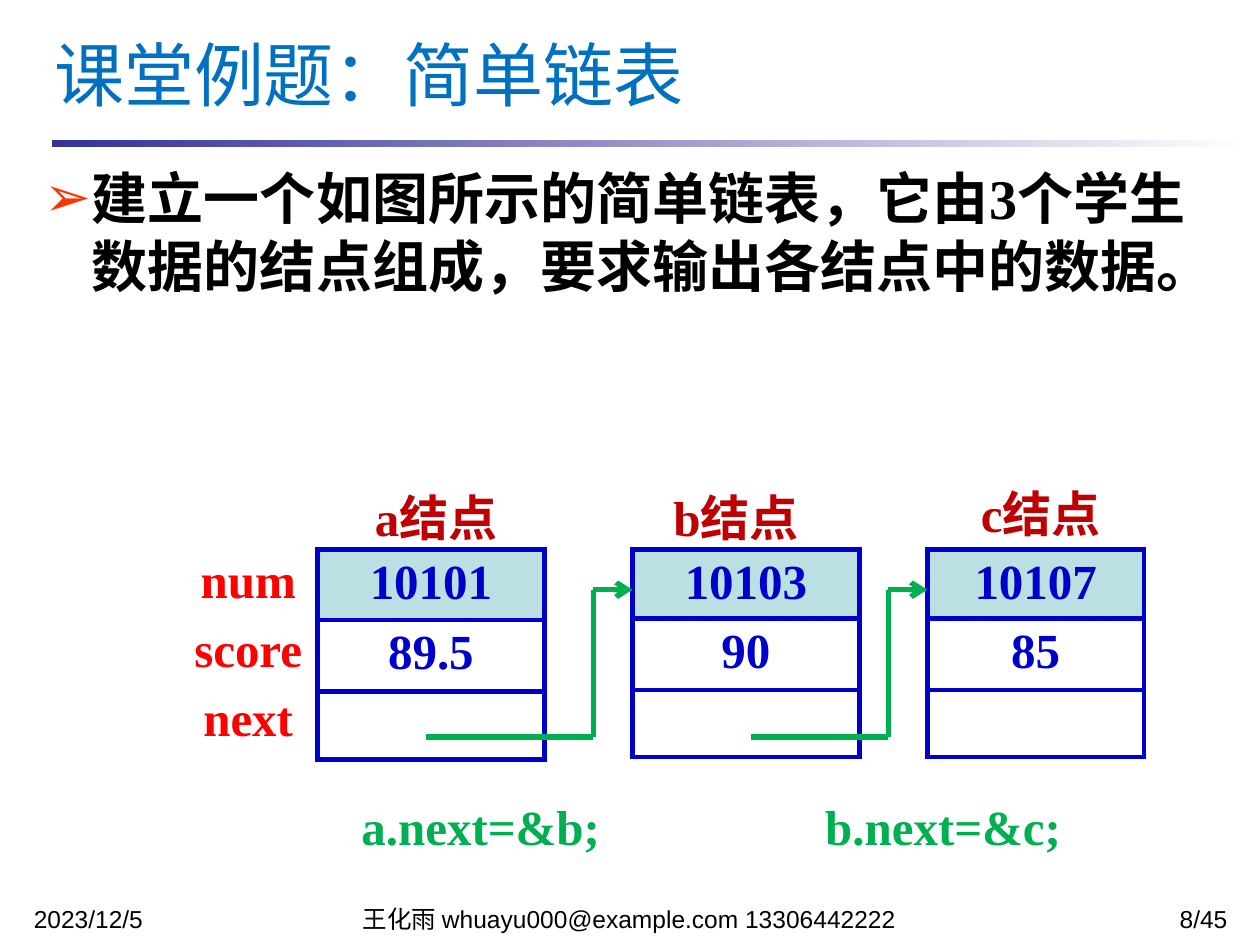
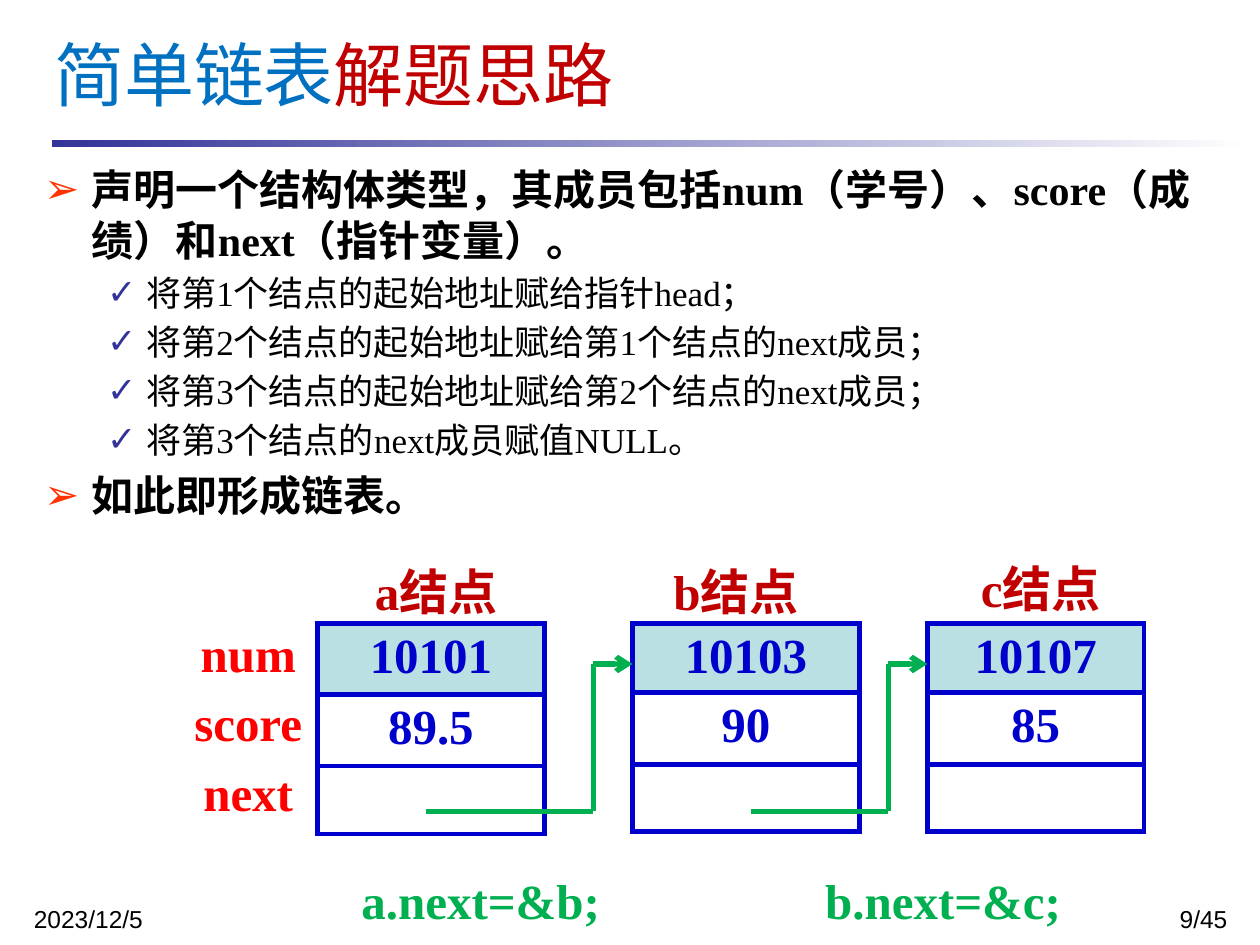
from lxml.etree import SubElement
from pptx import Presentation
from pptx.dml.color import RGBColor
from pptx.enum.shapes import MSO_CONNECTOR as Connector, MSO_SHAPE as Shape
from pptx.enum.text import MSO_ANCHOR as Anchor, MSO_AUTO_SIZE as AutoSize, PP_ALIGN as Align
from pptx.oxml.ns import qn
from pptx.util import Inches, Pt

WIDTH, HEIGHT = 10, 7.5
SERIF, SANS = "Times New Roman", "Arial"
BLACK, WHITE, NAVY, ORANGE = "000000", "FFFFFF", "333399", "FF3300"
TITLE_BLUE, DARK_RED, RED = "0070C0", "C00000", "FF0000"
NODE_BLUE, NODE_FILL, GREEN = "0000CC", "BBE0E3", "00B050"

DATE = "2023/12/5"
AUTHOR = "王化雨 whuayu000@example.com 13306442222"
PAGES = 45

SLIDES = [
    {
        "title": [("课堂例题：简单链表", TITLE_BLUE)],
        "body": [(0, "建立一个如图所示的简单链表，它由3个学生数据的结点组成，要求输出各结点中的数据。")],
        "sizes": (32, 28), "body_height": 1.5,
        "number": 8, "footer": AUTHOR, "diagram_top": 4.36,
    },
    {
        "title": [("简单链表", TITLE_BLUE), ("解题思路", DARK_RED)],
        "body": [
            (0, "声明一个结构体类型，其成员包括num（学号）、score（成绩）和next（指针变量）。"),
            (1, "将第1个结点的起始地址赋给指针head；"),
            (1, "将第2个结点的起始地址赋给第1个结点的next成员；"),
            (1, "将第3个结点的起始地址赋给第2个结点的next成员；"),
            (1, "将第3个结点的next成员赋值NULL。"),
            (0, "如此即形成链表。"),
        ],
        "sizes": (24, 20), "body_height": 2.92,
        "number": 9, "footer": None, "diagram_top": 4.95,
    },
]

BULLETS = [("➢", ORANGE, 0.38, 0.38), ("✓", NAVY, 0.81, 0.31)]

NODES = [
    {"name": "a结点", "left": 2.52, "width": 1.8, "rows": (0.56, 0.57, 0.54),
     "values": ("10101", "89.5", ""), "label": (2.6, -0.54, 1.72)},
    {"name": "b结点", "left": 5.02, "width": 1.8, "rows": (0.53, 0.57, 0.53),
     "values": ("10103", "90", ""), "label": (5.02, -0.54, 1.64)},
    {"name": "c结点", "left": 7.36, "width": 1.72, "rows": (0.53, 0.57, 0.53),
     "values": ("10107", "85", ""), "label": (7.52, -0.57, 1.48)},
]
FIELDS = ["num", "score", "next"]
LINKS = [
    {"start": 3.38, "bend": 4.71, "end": 5.02, "code": "a.next=&b;", "code_left": 2.29},
    {"start": 5.96, "bend": 7.05, "end": 7.36, "code": "b.next=&c;", "code_left": 5.96},
]
LINK_IN, LINK_OUT = 0.32, 1.49
LABEL_HEIGHT, FIELD_STEP, CODE_DROP = 0.57, 0.55, 1.91


def rgb(color):
    return RGBColor.from_string(color)


def format_font(font, size, color, bold=False, name=SERIF):
    font.name, font.size, font.bold = name, Pt(size), bold
    font.color.rgb = rgb(color)


def place(shape, left, top, width, height):
    shape.left, shape.top = Inches(left), Inches(top)
    shape.width, shape.height = Inches(width), Inches(height)


def add_label(page, text, left, top, width, height=LABEL_HEIGHT, size=28,
              color=BLACK, bold=True, name=SERIF, align=Align.CENTER):
    box = page.shapes.add_textbox(*map(Inches, (left, top, width, height)))
    box.text_frame.word_wrap = True
    para = box.text_frame.paragraphs[0]
    para.text = text
    para.alignment = align
    format_font(para.runs[0].font, size, color, bold, name)
    return para


def add_band(page):
    band = page.shapes.add_shape(Shape.RECTANGLE, *map(Inches, (0.41, 1.11, 9.51, 0.06)))
    band.shadow.inherit = False
    band.line.fill.background()
    band.fill.gradient()
    band.fill.gradient_angle = 0
    for stop, position, color in zip(band.fill.gradient_stops, (0, 1), (NAVY, WHITE)):
        stop.position = position
        stop.color.rgb = rgb(color)


def add_footers(page, number, footer):
    footers = [
        (DATE, 0.17, 2.33, Align.LEFT),
        (footer, 2.58, 4.83, Align.CENTER),
        (f"{number}/{PAGES}", 7.92, 1.92, Align.RIGHT),
    ]
    for text, left, width, align in footers:
        if text:
            para = add_label(page, text, left, 7.17, width, 0.18, 14,
                             bold=False, name=SANS, align=align)
            para.line_spacing = 0.8


def fill_title(title, parts):
    place(title, 0.33, 0.08, 9.34, 1)
    frame = title.text_frame
    frame.auto_size = AutoSize.NONE
    frame.vertical_anchor = Anchor.MIDDLE
    para = frame.paragraphs[0]
    para.alignment = Align.LEFT
    for text, color in parts:
        span = para.add_run()
        span.text = text
        format_font(span.font, 40, color)


def set_bullet(para, level):
    char, color, indent, hanging = BULLETS[level]
    props = para._p.get_or_add_pPr()
    props.set("marL", str(Inches(indent)))
    props.set("indent", str(-Inches(hanging)))
    SubElement(SubElement(props, qn("a:buClr")), qn("a:srgbClr")).set("val", color)
    SubElement(props, qn("a:buFont")).set("typeface", SANS)
    SubElement(props, qn("a:buChar")).set("char", char)


def fill_body(body, items, sizes, height):
    place(body, 0.25, 1.25, 9.34, height)
    frame = body.text_frame
    frame.auto_size = AutoSize.NONE
    frame.vertical_anchor = Anchor.TOP
    for index, (level, text) in enumerate(items):
        para = frame.add_paragraph() if index else frame.paragraphs[0]
        para.text = text
        para.level = level
        set_bullet(para, level)
        para.space_before = Pt(round(sizes[level] * 0.2)) if index else Pt(0)
        format_font(para.runs[0].font, sizes[level], BLACK, level == 0)


def set_borders(cell):
    props = cell._tc.get_or_add_tcPr()
    for side in ("lnL", "lnR", "lnT", "lnB"):
        border = SubElement(props, qn(f"a:{side}"), w=str(Pt(3)))
        SubElement(SubElement(border, qn("a:solidFill")), qn("a:srgbClr")).set("val", NODE_BLUE)


def add_node(page, node, top):
    heights = node["rows"]
    frame = page.shapes.add_table(len(heights), 1, *map(
        Inches, (node["left"], top, node["width"], sum(heights))))
    table = frame.table
    table.first_row = table.horz_banding = False
    for index, (height, value) in enumerate(zip(heights, node["values"])):
        table.rows[index].height = Inches(height)
        cell = table.cell(index, 0)
        cell.margin_bottom = Inches(0.03)
        set_borders(cell)
        cell.fill.solid()
        cell.fill.fore_color.rgb = rgb(WHITE if index else NODE_FILL)
        if value:
            para = cell.text_frame.paragraphs[0]
            para.text = value
            para.alignment = Align.CENTER
            format_font(para.runs[0].font, 28, NODE_BLUE, True)


def add_line(page, start, end, arrow=False):
    line = page.shapes.add_connector(Connector.STRAIGHT, *map(Inches, (*start, *end)))
    line.line.color.rgb = rgb(GREEN)
    line.line.width = Pt(3)
    if arrow:
        SubElement(line.line._get_or_add_ln(), qn("a:tailEnd")).set("type", "arrow")
    SubElement(line._element.spPr, qn("a:effectLst"))


def add_diagram(page, top):
    for node in NODES:
        add_node(page, node, top)
        left, rise, width = node["label"]
        add_label(page, node["name"], left, top + rise, width, color=DARK_RED)
    for index, field in enumerate(FIELDS):
        add_label(page, field, 1.42, top - 0.05 + index * FIELD_STEP, 1.1, color=RED)
    for link in LINKS:
        low, high = top + LINK_OUT, top + LINK_IN
        points = [(link["start"], low), (link["bend"], low),
                  (link["bend"], high), (link["end"], high)]
        for start, end in zip(points, points[1:]):
            add_line(page, start, end, arrow=end == points[-1])
        add_label(page, link["code"], link["code_left"], top + CODE_DROP, 3.05, color=GREEN)


def main():
    deck = Presentation()
    deck.slide_width, deck.slide_height = Inches(WIDTH), Inches(HEIGHT)
    for content in SLIDES:
        page = deck.slides.add_slide(deck.slide_layouts[1])
        add_band(page)
        fill_title(page.shapes.title, content["title"])
        fill_body(page.placeholders[1], content["body"], content["sizes"], content["body_height"])
        add_footers(page, content["number"], content["footer"])
        add_diagram(page, content["diagram_top"])
    deck.save("out.pptx")


if __name__ == "__main__":
    main()
